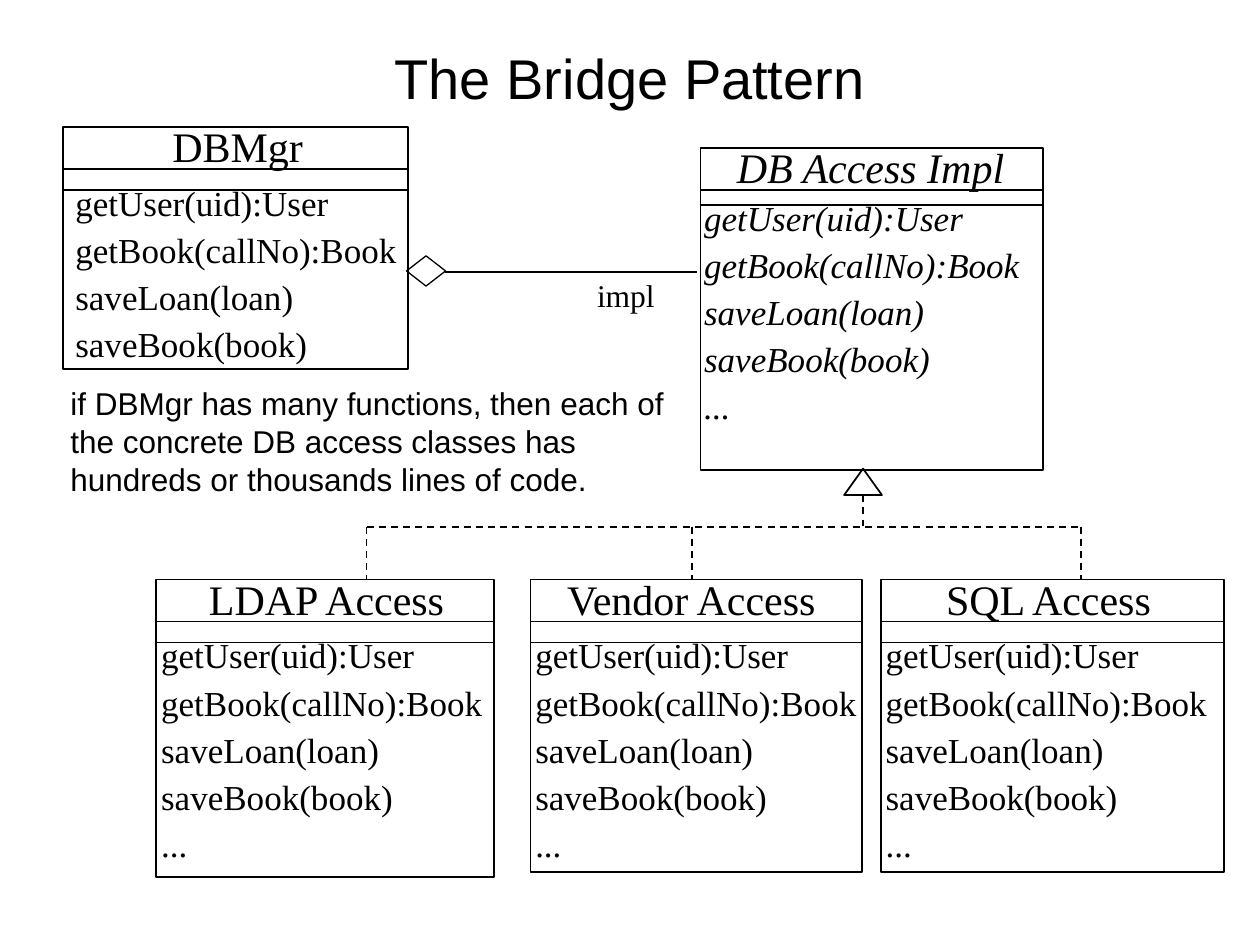
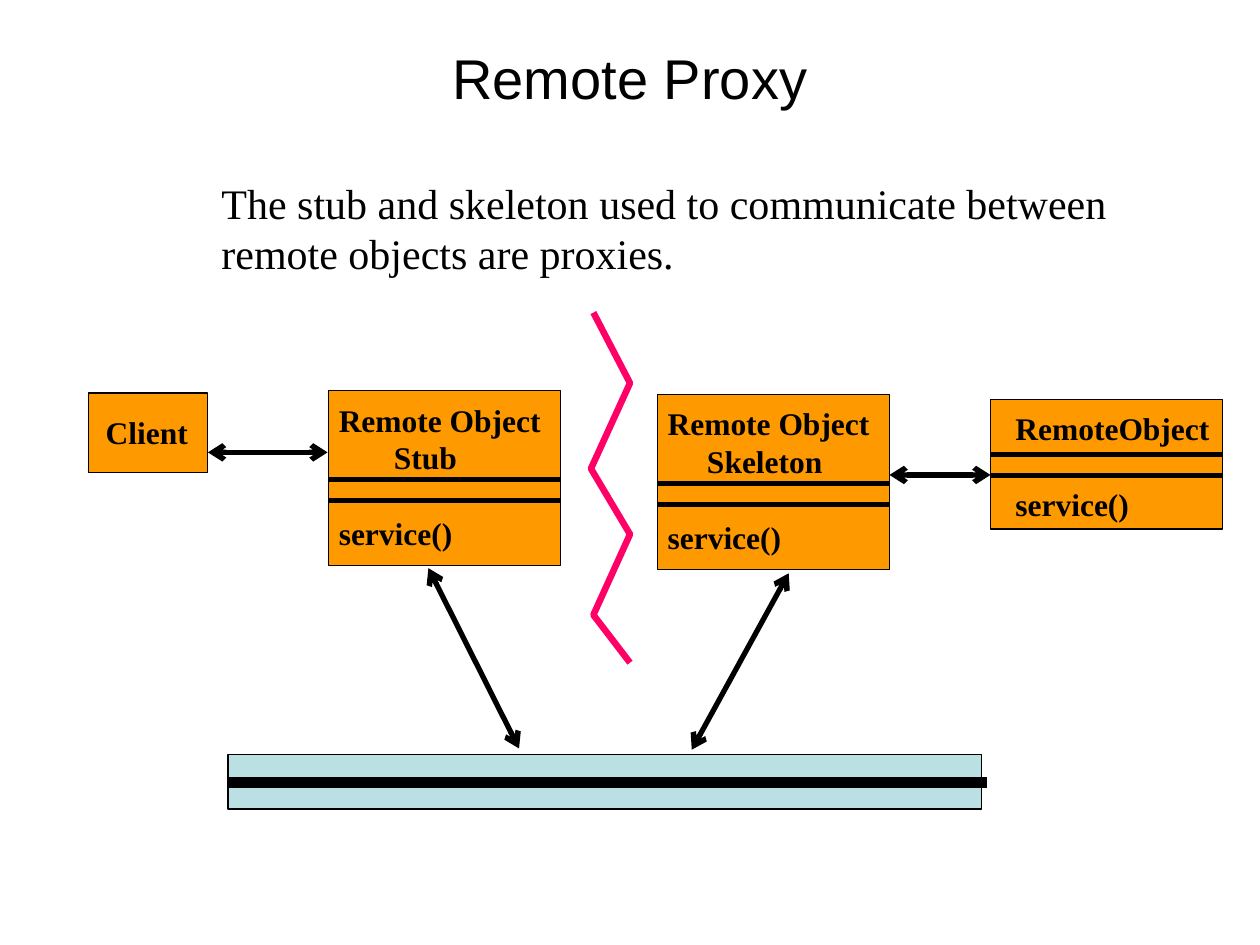
"""Build two slides on the Bridge pattern and the remote proxy."""
from lxml.etree import SubElement
from pptx import Presentation
from pptx.dml.color import RGBColor
from pptx.enum.dml import MSO_LINE
from pptx.enum.shapes import MSO_CONNECTOR, MSO_SHAPE
from pptx.enum.text import MSO_ANCHOR, PP_ALIGN
from pptx.oxml.ns import qn
from pptx.util import Pt

BLACK, ORANGE, PINK, PALE_BLUE = "000000", "FF9900", "FF0066", "BBE0E3"
SANS, SERIF = "Arial", "Times New Roman"


def add_text(slide, frame, lines, size, font=SERIF, bold=False, italic=False):
    text_box = slide.shapes.add_textbox(*[Pt(length) for length in frame])
    text_frame = text_box.text_frame
    text_frame.word_wrap = True
    text_frame.text = "\n".join(lines)
    for paragraph in text_frame.paragraphs:
        for run in paragraph.runs:
            run.font.name = font
            run.font.size = Pt(size)
            run.font.bold = bold
            run.font.italic = italic
            run.font.color.rgb = RGBColor.from_string(BLACK)
    return text_frame


def add_line(slide, start, end, width=1, dashed=False, arrows=False):
    points = [Pt(length) for length in (*start, *end)]
    connector = slide.shapes.add_connector(MSO_CONNECTOR.STRAIGHT, *points)
    connector.line.color.rgb = RGBColor.from_string(BLACK)
    connector.line.width = Pt(width)
    if dashed:
        connector.line.dash_style = MSO_LINE.DASH
    if arrows:
        outline = connector.line._get_or_add_ln()
        for end_name in ("a:headEnd", "a:tailEnd"):
            SubElement(outline, qn(end_name)).set("type", "arrow")
    SubElement(connector._element.spPr, qn("a:effectLst"))


presentation = Presentation()
presentation.slide_width = Pt(720)
presentation.slide_height = Pt(540)

slides = []
for title in ("The Bridge Pattern", "Remote Proxy"):
    slide = presentation.slides.add_slide(presentation.slide_layouts[6])
    title_frame = add_text(slide, (36, 21.6, 648, 44.6), [title], 32, SANS)
    title_frame.vertical_anchor = MSO_ANCHOR.MIDDLE
    title_frame.paragraphs[0].alignment = PP_ALIGN.CENTER
    slides.append(slide)
bridge_slide, proxy_slide = slides

methods = ["getUser(uid):User", "getBook(callNo):Book", "saveLoan(loan)", "saveBook(book)"]
more_methods = methods + ["..."]
classes = [
    ("DBMgr", (36, 72.5, 197.3, 138.2), 91.4, 100, 36, 36, methods, False),
    ("DB Access Impl", (400.3, 84.5, 195.8, 184.3), 414, 175, 32.5, 395.3, more_methods, True),
    ("LDAP Access", (89.3, 331.2, 193, 170), 112.3, 160, 36, 85, more_methods, False),
    ("Vendor Access", (303.1, 331.2, 189.4, 167), 317, 172, 36, 298.8, more_methods, False),
    ("SQL Access", (503.3, 331.2, 196, 167), 533.5, 142, 36, 499, more_methods, False),
]

proxy_boxes = [
    (["Client"], (50.4, 224.6, 68.4, 45.4), (2.9, 8, 66, 28.8), 0, None),
    (["Remote Object", "Stub", "service()"], (187.9, 223.2, 132.5, 100.1),
     (-1.4, 2.2, 134, 93.6), 31.5, 51),
    (["Remote Object", "Skeleton", "service()"], (375.8, 225.4, 132.5, 100.1),
     (-1.4, 2.2, 134, 93.6), 22.5, 51),
    (["RemoteObject", "service()"], (566, 228.2, 132.5, 74.2), (7.2, 2.2, 130, 72), 0, 31.7),
]

outlines = [
    (bridge_slide, MSO_SHAPE.ISOSCELES_TRIANGLE, (482.4, 267.8, 21.6, 15.1), None, 1),
    (bridge_slide, MSO_SHAPE.DIAMOND, (232.3, 146.2, 22.3, 17.3), None, 0.75),
    (proxy_slide, MSO_SHAPE.RECTANGLE, (130.3, 431.3, 430.6, 31), PALE_BLUE, 0.75),
]
outlines += [(bridge_slide, MSO_SHAPE.RECTANGLE, item[1], None, 1) for item in classes]
outlines += [(proxy_slide, MSO_SHAPE.RECTANGLE, item[1], ORANGE, 0.75) for item in proxy_boxes]
for slide, shape_type, frame, fill, line_width in outlines:
    shape = slide.shapes.add_shape(shape_type, *[Pt(length) for length in frame])
    shape.shadow.inherit = False
    shape.line.color.rgb = RGBColor.from_string(BLACK)
    shape.line.width = Pt(line_width)
    if fill:
        shape.fill.solid()
        shape.fill.fore_color.rgb = RGBColor.from_string(fill)
    else:
        shape.fill.background()

for name, frame, name_left, name_width, divider, method_left, names, italic in classes:
    left, top, width, height = frame
    add_text(bridge_slide, (name_left, top - 7, name_width, 36), [name], 24, italic=italic)
    for offset in (24, divider):
        add_line(bridge_slide, (left, top + offset), (left + width, top + offset))
    method_frame = add_text(bridge_slide, (method_left, top + divider, 203.8, 129.6),
                            names, 20, italic=italic)
    for number, paragraph in enumerate(method_frame.paragraphs):
        paragraph.line_spacing = 0.6
        paragraph.space_before = Pt(12.5 if number else 0)

branches = (209.5, 395.3, 617.8)
add_line(bridge_slide, (branches[0], 301), (branches[-1], 301), dashed=True)
add_line(bridge_slide, (493.2, 283), (493.2, 301), dashed=True)
for branch in branches:
    add_line(bridge_slide, (branch, 301), (branch, 331.2), dashed=True)
add_line(bridge_slide, (254.5, 155.4), (398.2, 155.4), 0.75)
add_text(bridge_slide, (334.1, 154.1, 52, 28.8), ["impl"], 18)
add_text(bridge_slide, (33.1, 216, 362, 72), [
    "if DBMgr has many functions, then each of",
    "the concrete DB access classes has",
    "hundreds or thousands lines of code.",
], 18, SANS)

add_text(proxy_slide, (119.5, 97.9, 540, 64.8), [
    "The stub and skeleton used to communicate between",
    "remote objects are proxies.",
], 24)
for lines, frame, text_frame_offset, indent, divider in proxy_boxes:
    left, top, width, height = frame
    text_left, text_top, text_width, text_height = text_frame_offset
    box_frame = add_text(proxy_slide, (left + text_left, top + text_top, text_width, text_height),
                         lines, 18, bold=True)
    if indent:
        box_frame.paragraphs[1]._p.get_or_add_pPr().set("marL", str(Pt(indent)))
    if divider:
        box_frame.paragraphs[-1].space_before = Pt(21.5)
        for offset in (divider, divider + 12):
            add_line(proxy_slide, (left, top + offset), (left + width, top + offset), 3)

zigzag = [(339.1, 178.6), (360, 218.9), (337.7, 267.8), (360, 305.3), (339.1, 351.4), (360, 378.7)]
zigzag_points = [(Pt(x), Pt(y)) for x, y in zigzag]
builder = proxy_slide.shapes.build_freeform(*zigzag_points[0])
builder.add_line_segments(zigzag_points[1:], close=False)
boundary = builder.convert_to_shape()
boundary.shadow.inherit = False
boundary.fill.background()
boundary.line.color.rgb = RGBColor.from_string(PINK)
boundary.line.width = Pt(3.75)

add_line(proxy_slide, (130.3, 447.1), (563.8, 447.1), 6)
for start, end in [
    ((118.8, 258.5), (187.2, 258.5)),
    ((244.8, 324.7), (296.6, 427.7)),
    ((450.7, 327.6), (395.3, 428.4)),
    ((508.3, 271.4), (566, 271.4)),
]:
    add_line(proxy_slide, start, end, 3, arrows=True)

presentation.save("out.pptx")
